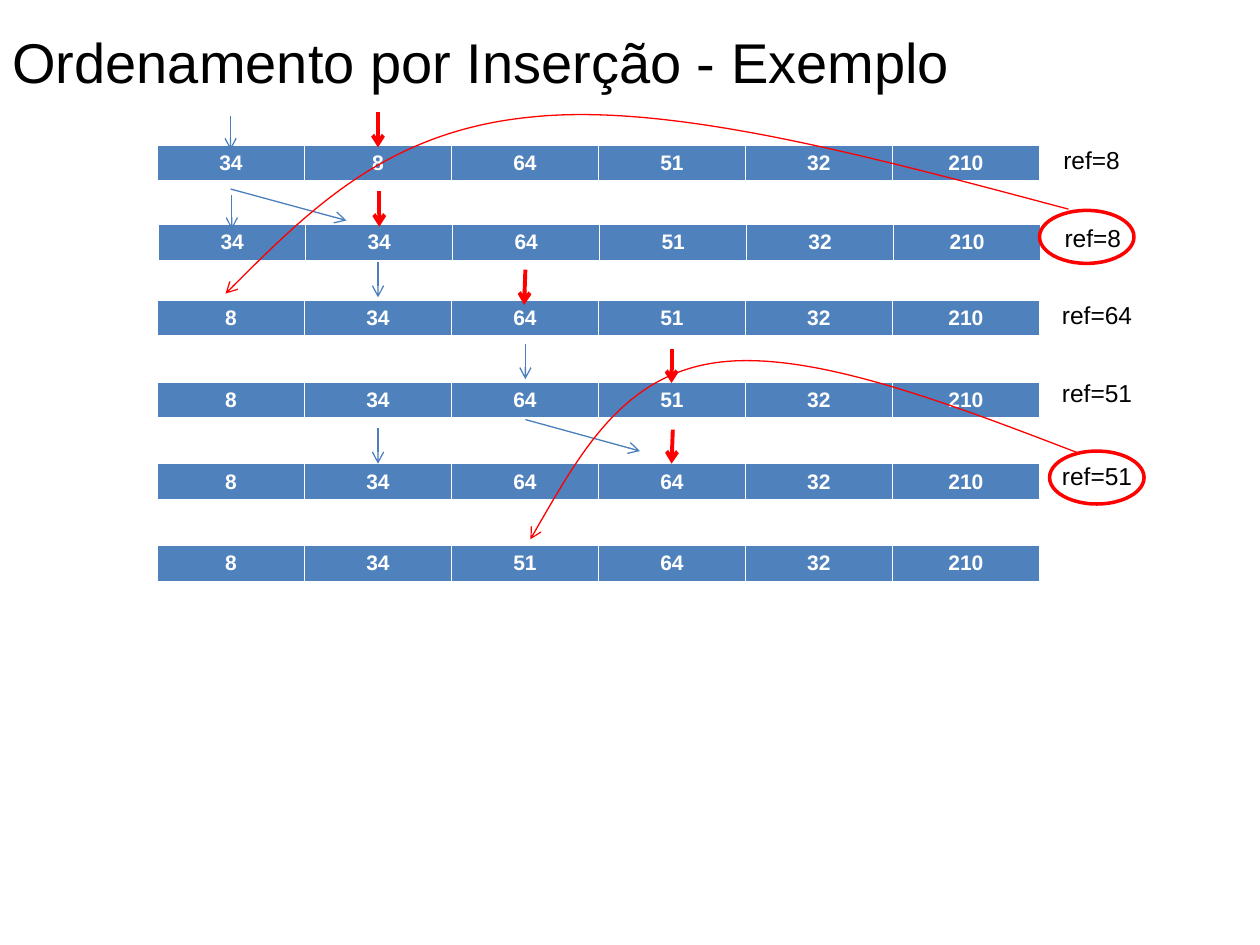
from lxml import etree
from pptx import Presentation
from pptx.dml.color import RGBColor
from pptx.enum.shapes import MSO_CONNECTOR, MSO_SHAPE
from pptx.enum.text import MSO_AUTO_SIZE, PP_ALIGN
from pptx.oxml.ns import qn
from pptx.util import Inches, Pt

FONT = "Arial"
COLORS = {"cell": "4F81BD", "scan": "4B7EBC", "key": "FF0000",
          "text": "000000", "white": "FFFFFF"}
TITLE = "Ordenamento por Inserção - Exemplo"

# left, top, values
STEPS = [
    (1.25, 1.15, (34, 8, 64, 51, 32, 210)),
    (1.26, 1.78, (34, 34, 64, 51, 32, 210)),
    (1.25, 2.38, (8, 34, 64, 51, 32, 210)),
    (1.25, 3.03, (8, 34, 64, 51, 32, 210)),
    (1.25, 3.68, (8, 34, 64, 64, 32, 210)),
    (1.25, 4.33, (8, 34, 51, 64, 32, 210)),
]
# text, left, top, width
REFS = [
    ("ref=8", 8.34, 1.1, 0.65),
    ("ref=8", 8.35, 1.72, 0.65),
    ("ref=64", 8.33, 2.33, 0.76),
    ("ref=51", 8.33, 2.95, 0.76),
    ("ref=51", 8.33, 3.61, 0.76),
]
# start x, start y, end x, end y
SCAN_ARROWS = [
    (1.83, 0.92, 1.83, 1.19), (1.84, 1.55, 1.84, 1.82),
    (3, 2.08, 3, 2.36), (4.17, 2.73, 4.17, 3.01), (3, 3.4, 3, 3.68),
    (1.83, 1.5, 2.75, 1.75), (4.17, 3.33, 5.08, 3.58),
]
KEY_ARROWS = [
    (3, 0.89, 3, 1.17), (3.01, 1.52, 3.01, 1.8), (4.17, 2.14, 4.16, 2.42),
    (5.33, 2.77, 5.33, 3.04), (5.34, 3.41, 5.33, 3.68),
]
# ellipse left and top, then the Bezier points of its insertion arrow
INSERTIONS = [
    ((8.25, 1.67), [(8.48, 1.66), (6.9, 1.24), (5.32, 0.81), (4.21, 0.93),
                    (3.09, 1.04), (2.44, 1.68), (1.79, 2.33)]),
    ((8.33, 3.58), [(8.57, 3.6), (7.48, 3.18), (6.4, 2.77), (5.67, 2.88),
                    (4.94, 2.99), (4.58, 3.64), (4.21, 4.28)]),
]
TABLE_W, ROW_H = 7, 0.3
BORDERS = {"a:lnL": 1, "a:lnR": 1, "a:lnT": 1, "a:lnB": 3}


def rgb(name):
    """Return a palette colour."""
    return RGBColor.from_string(COLORS[name])


def style_run(paragraph, text, size, color, bold=False):
    """Add text with its font settings to a paragraph."""
    run = paragraph.add_run()
    run.text = text
    run.font.name, run.font.size, run.font.bold = FONT, Pt(size), bold
    run.font.color.rgb = rgb(color)


def add_label(slide, text, left, top, width, height, size):
    """Add a one-line text box."""
    box = slide.shapes.add_textbox(*map(Inches, (left, top, width, height)))
    box.text_frame.word_wrap = False
    box.text_frame.auto_size = MSO_AUTO_SIZE.SHAPE_TO_FIT_TEXT
    style_run(box.text_frame.paragraphs[0], text, size, "text")


def set_borders(cell):
    """Give a cell white borders."""
    props = cell._tc.get_or_add_tcPr()
    for tag, width in BORDERS.items():
        line = etree.SubElement(props, qn(tag), w=str(Pt(width)))
        fill = etree.SubElement(line, qn("a:solidFill"))
        etree.SubElement(fill, qn("a:srgbClr"), val=COLORS["white"])


def add_array(slide, left, top, values):
    """Add one state of the array as a single-row table."""
    table = slide.shapes.add_table(
        1, len(values), *map(Inches, (left, top, TABLE_W, ROW_H))).table
    for column, value in enumerate(values):
        table.columns[column].width = Inches(TABLE_W / len(values))
        cell = table.cell(0, column)
        set_borders(cell)
        cell.fill.solid()
        cell.fill.fore_color.rgb = rgb("cell")
        paragraph = cell.text_frame.paragraphs[0]
        paragraph.alignment = PP_ALIGN.CENTER
        style_run(paragraph, str(value), 12, "white", True)


def style_line(shape, color, width, arrow=True):
    """Set the outline and, if wanted, the arrowhead at its end."""
    shape.line.color.rgb = rgb(color)
    shape.line.width = Pt(width)
    if arrow:
        etree.SubElement(shape.line._get_or_add_ln(), qn("a:tailEnd"), type="arrow")


def add_arrow(slide, ends, color, width):
    """Add a straight arrow without shadow."""
    arrow = slide.shapes.add_connector(MSO_CONNECTOR.STRAIGHT, *map(Inches, ends))
    style_line(arrow, color, width)
    etree.SubElement(arrow._element.spPr, qn("a:effectLst"))


def add_curve(slide, points):
    """Add a curved arrow through a chain of cubic Bezier points."""
    start, *rest = [(Inches(x), Inches(y)) for x, y in points]
    builder = slide.shapes.build_freeform(*start)
    builder.add_line_segments(rest, close=False)
    curve = builder.convert_to_shape()
    segments = list(curve._element.iter(qn("a:lnTo")))
    path = segments[0].getparent()
    for first in range(0, len(segments), 3):
        bezier = etree.SubElement(path, qn("a:cubicBezTo"))
        for segment in segments[first:first + 3]:
            bezier.append(segment[0])
            path.remove(segment)
    curve.shadow.inherit = False
    curve.fill.background()
    style_line(curve, "key", 0.75)


def add_ring(slide, left, top):
    """Add the ring around an inserted reference value."""
    ring = slide.shapes.add_shape(
        MSO_SHAPE.OVAL, *map(Inches, (left, top, 0.75, 0.42)))
    ring.shadow.inherit = False
    ring.fill.background()
    style_line(ring, "key", 2, arrow=False)


def main():
    """Build and save the slide."""
    prs = Presentation()
    prs.slide_width, prs.slide_height = Inches(10), Inches(7.5)
    slide = prs.slides.add_slide(prs.slide_layouts[6])
    add_label(slide, TITLE, 0, 0.17, 7.7, 0.64, 32)
    for step in STEPS:
        add_array(slide, *step)
    for ref in REFS:
        add_label(slide, *ref, 0.34, 14)
    for ends in SCAN_ARROWS:
        add_arrow(slide, ends, "scan", 0.75)
    for ends in KEY_ARROWS:
        add_arrow(slide, ends, "key", 2.25)
    for ring, points in INSERTIONS:
        add_curve(slide, points)
        add_ring(slide, *ring)
    prs.save("out.pptx")


main()
